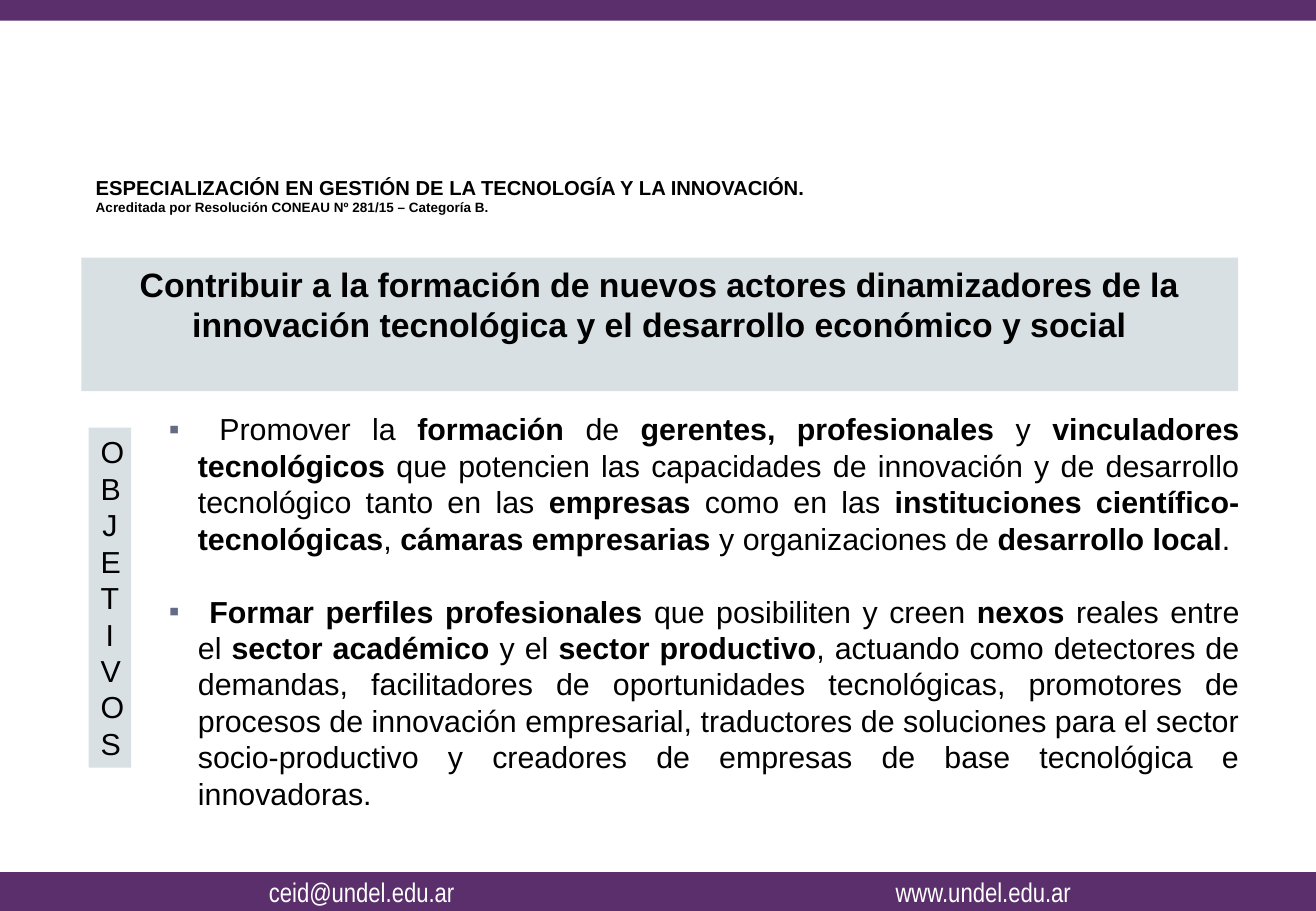
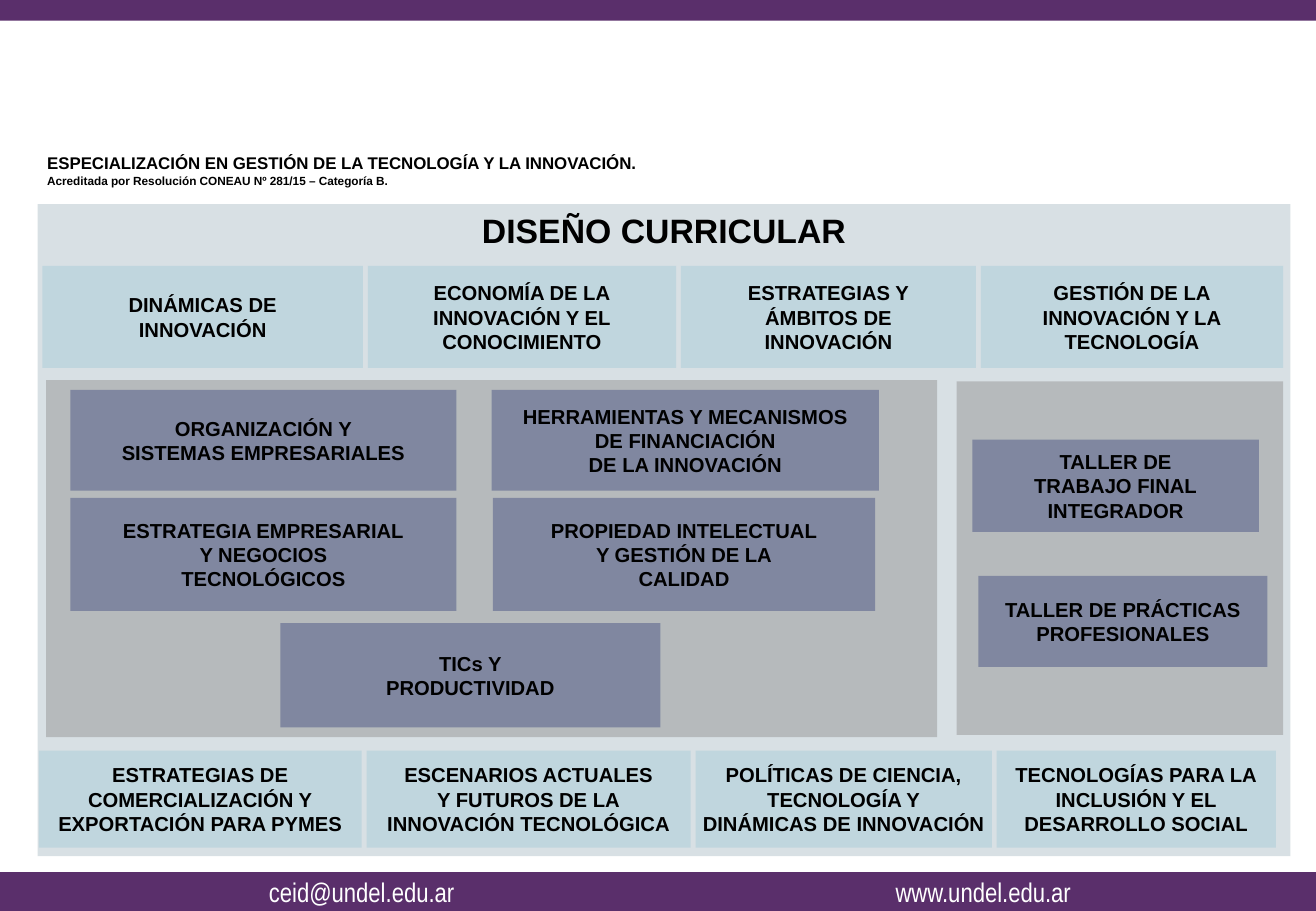
from lxml.etree import SubElement
from pptx import Presentation
from pptx.dml.color import RGBColor
from pptx.enum.shapes import MSO_SHAPE
from pptx.enum.text import MSO_ANCHOR, MSO_AUTO_SIZE, PP_ALIGN
from pptx.oxml.ns import qn
from pptx.util import Inches, Pt

COLORS = {
    "purple": "5A2F6B",
    "mist": "D8E0E4",
    "sky": "C0D6DE",
    "slate": "8087A0",
    "gray": "969696",
    "bullet": "646B86",
    "black": "000000",
    "white": "FFFFFF",
}
WIDTH, HEIGHT = 10.84, 7.5
TITLE_AND_CONTENT, TITLE_ONLY = 1, 5
CONTACTS = [("ceid@undel.edu.ar", 2.98), ("www.undel.edu.ar", 8.1)]
PROGRAM = "ESPECIALIZACIÓN EN GESTIÓN DE LA TECNOLOGÍA Y LA INNOVACIÓN."
ACCREDITATION = "Acreditada por Resolución CONEAU Nº 281/15 – Categoría B."

GOALS = [
    " Promover la *formación* de *gerentes, profesionales* y *vinculadores tecnológicos* "
    "que potencien las capacidades de innovación y de desarrollo tecnológico tanto en las "
    "*empresas* como en las *instituciones científico-tecnológicas*, *cámaras empresarias* "
    "y organizaciones de *desarrollo local*.",
    " *Formar perfiles profesionales* que posibiliten y creen *nexos* reales entre el "
    "*sector académico* y el *sector productivo*, actuando como detectores de demandas, "
    "facilitadores de oportunidades tecnológicas, promotores de procesos de innovación "
    "empresarial, traductores de soluciones para el sector socio-productivo y creadores "
    "de empresas de base tecnológica e innovadoras.",
]

CORE = [
    (2.64, ["DINÁMICAS DE", "INNOVACIÓN"]),
    (2.54, ["ECONOMÍA DE LA", "INNOVACIÓN Y EL", "CONOCIMIENTO"]),
    (2.43, ["ESTRATEGIAS Y", "ÁMBITOS DE", "INNOVACIÓN"]),
    (2.49, ["GESTIÓN DE LA", "INNOVACIÓN Y LA", "TECNOLOGÍA"]),
]
ELECTIVES = [
    (2.66, ["ESTRATEGIAS DE", "COMERCIALIZACIÓN Y", "EXPORTACIÓN PARA PYMES"]),
    (2.67, ["ESCENARIOS ACTUALES", "Y FUTUROS DE LA", "INNOVACIÓN TECNOLÓGICA"]),
    (2.44, ["POLÍTICAS DE CIENCIA,", "TECNOLOGÍA Y", "DINÁMICAS DE INNOVACIÓN"]),
    (2.3, ["TECNOLOGÍAS PARA LA", "INCLUSIÓN Y EL", "DESARROLLO SOCIAL"]),
]
BUSINESS = [
    (3.18, ["ORGANIZACIÓN Y", "SISTEMAS EMPRESARIALES"]),
    (3.19, ["HERRAMIENTAS Y MECANISMOS", "DE FINANCIACIÓN", "DE LA INNOVACIÓN"]),
]
STRATEGY = [
    (3.18, ["ESTRATEGIA EMPRESARIAL", "Y NEGOCIOS", "TECNOLÓGICOS"]),
    (3.15, ["PROPIEDAD INTELECTUAL", "Y GESTIÓN DE LA", "CALIDAD"]),
]
TICS = [(3.13, ["TICs Y", "PRODUCTIVIDAD"])]
FINAL_WORKSHOP = [(2.36, ["TALLER DE", "TRABAJO FINAL", "INTEGRADOR"])]
PRACTICE_WORKSHOP = [(2.38, ["TALLER DE PRÁCTICAS", "PROFESIONALES"])]


def rgb(name):
    return RGBColor.from_string(COLORS[name])


def apply(target, values):
    for name, value in values.items():
        setattr(target, name, value)


class Deck:
    def __init__(self):
        self.prs = Presentation()
        apply(self.prs, {"slide_width": Inches(WIDTH), "slide_height": Inches(HEIGHT)})
        self.s = None

    def slide(self, layout):
        self.s = self.prs.slides.add_slide(self.prs.slide_layouts[layout])
        self.rect((0, 7.18, WIDTH, 0.32), "purple")
        self.rect((0, 0, WIDTH, 0.17), "purple")
        for contact, center in CONTACTS:
            self.text((center - 1.25, 7.18, 2.5, 0.32), [contact], 16, font="Arial Narrow",
                      color="white", align=PP_ALIGN.CENTER, anchor=MSO_ANCHOR.MIDDLE)

    def place(self, sp, box):
        apply(sp, dict(zip(("left", "top", "width", "height"), map(Inches, box))))

    def frame(self, sp, anchor=MSO_ANCHOR.TOP, wrap=True):
        tf = sp.text_frame
        apply(tf, {"word_wrap": wrap, "auto_size": MSO_AUTO_SIZE.NONE,
                   "vertical_anchor": anchor,
                   "margin_left": Inches(0.1), "margin_right": Inches(0.1),
                   "margin_top": Inches(0.05), "margin_bottom": Inches(0.05)})
        return tf

    def run(self, p, text, size, bold=False, font="Arial", color="black"):
        r = p.add_run()
        r.text = text
        apply(r.font, {"name": font, "size": Pt(size), "bold": bold})
        r.font.color.rgb = rgb(color)

    def lines(self, tf, lines, sizes, align, **style):
        for i, line in enumerate(lines):
            p = tf.add_paragraph() if i else tf.paragraphs[0]
            apply(p, {"alignment": align, "space_before": Pt(0)})
            self.run(p, line, sizes[i] if isinstance(sizes, list) else sizes, **style)

    def text(self, box, lines, sizes, align=PP_ALIGN.LEFT, anchor=MSO_ANCHOR.TOP, **style):
        sp = self.s.shapes.add_textbox(*map(Inches, box))
        self.lines(self.frame(sp, anchor), lines, sizes, align, **style)

    def rect(self, box, fill, alpha=None):
        sp = self.s.shapes.add_shape(MSO_SHAPE.RECTANGLE, *map(Inches, box))
        sp.shadow.inherit = False
        sp.fill.solid()
        sp.fill.fore_color.rgb = rgb(fill)
        sp.line.fill.background()
        if alpha:
            clr = sp.element.spPr.find(".//" + qn("a:srgbClr"))
            SubElement(clr, qn("a:alpha"), val=str(alpha * 1000))
        return sp

    def label(self, box, fill, lines, size, anchor=MSO_ANCHOR.MIDDLE, wrap=False, bold=True):
        tf = self.frame(self.rect(box, fill), anchor, wrap)
        self.lines(tf, lines, size, PP_ALIGN.CENTER, bold=bold)

    def row(self, left, top, height, fill, cells, gap=0.04):
        for width, lines in cells:
            self.label((left, top, width, height), fill, lines, 12)
            left += width + gap

    def title(self, box, text):
        sp = self.s.shapes.title
        self.place(sp, box)
        sp.fill.solid()
        sp.fill.fore_color.rgb = rgb("mist")
        self.lines(self.frame(sp), [text], 20, PP_ALIGN.CENTER, bold=True)
        sp.element.getparent().append(sp.element)

    def program(self, left, top, height, sizes):
        self.text((left, top, 9.69, height), [PROGRAM, ACCREDITATION], sizes, bold=True)

    def bullets(self, box, items, size, gap):
        sp = self.s.placeholders[1]
        self.place(sp, box)
        tf = self.frame(sp)
        for i, item in enumerate(items):
            p = tf.add_paragraph() if i else tf.paragraphs[0]
            apply(p, {"alignment": PP_ALIGN.JUSTIFY, "space_before": Pt(gap if i else 0)})
            pPr = p._p.get_or_add_pPr()
            pPr.set("marL", str(Inches(0.24)))
            pPr.set("indent", str(-Inches(0.24)))
            clr = SubElement(pPr, qn("a:buClr"))
            SubElement(clr, qn("a:srgbClr"), val=COLORS["bullet"])
            SubElement(pPr, qn("a:buFont"), typeface="Arial")
            SubElement(pPr, qn("a:buChar"), char="▪")
            for j, part in enumerate(item.split("*")):
                if part:
                    self.run(p, part, size, bold=j % 2 == 1)


def objectives(deck):
    deck.slide(TITLE_AND_CONTENT)
    deck.title((0.67, 2.12, 9.53, 1.1),
               "Contribuir a la formación de nuevos actores dinamizadores de la "
               "innovación tecnológica y el desarrollo económico y social")
    deck.bullets((1.29, 3.33, 9.02, 3.4), GOALS, 18, 21.6)
    deck.label((0.73, 3.52, 0.35, 2.8), "mist", ["OBJETIVOS"], 18,
               anchor=MSO_ANCHOR.TOP, wrap=True, bold=False)
    deck.program(0.69, 1.39, 0.44, [12, 8])


def curriculum(deck):
    deck.slide(TITLE_ONLY)
    deck.rect((0.31, 1.68, 10.32, 5.37), "mist")
    deck.title((0.32, 1.68, 10.3, 0.44), "DISEÑO CURRICULAR")
    deck.rect((7.88, 3.14, 2.69, 2.91), "gray", alpha=50)
    deck.rect((0.38, 3.13, 7.34, 2.94), "gray", alpha=50)
    deck.row(0.35, 2.19, 0.84, "sky", CORE)
    deck.row(0.58, 3.21, 0.83, "slate", BUSINESS, gap=0.29)
    deck.row(0.58, 4.1, 0.93, "slate", STRATEGY, gap=0.3)
    deck.row(2.31, 5.13, 0.86, "slate", TICS)
    deck.row(8.01, 3.62, 0.76, "slate", FINAL_WORKSHOP)
    deck.row(8.06, 4.74, 0.75, "slate", PRACTICE_WORKSHOP)
    deck.row(0.32, 6.18, 0.8, "sky", ELECTIVES)
    deck.program(0.29, 1.21, 0.39, [10, 7])


def main():
    deck = Deck()
    objectives(deck)
    curriculum(deck)
    deck.prs.save("out.pptx")


if __name__ == "__main__":
    main()
